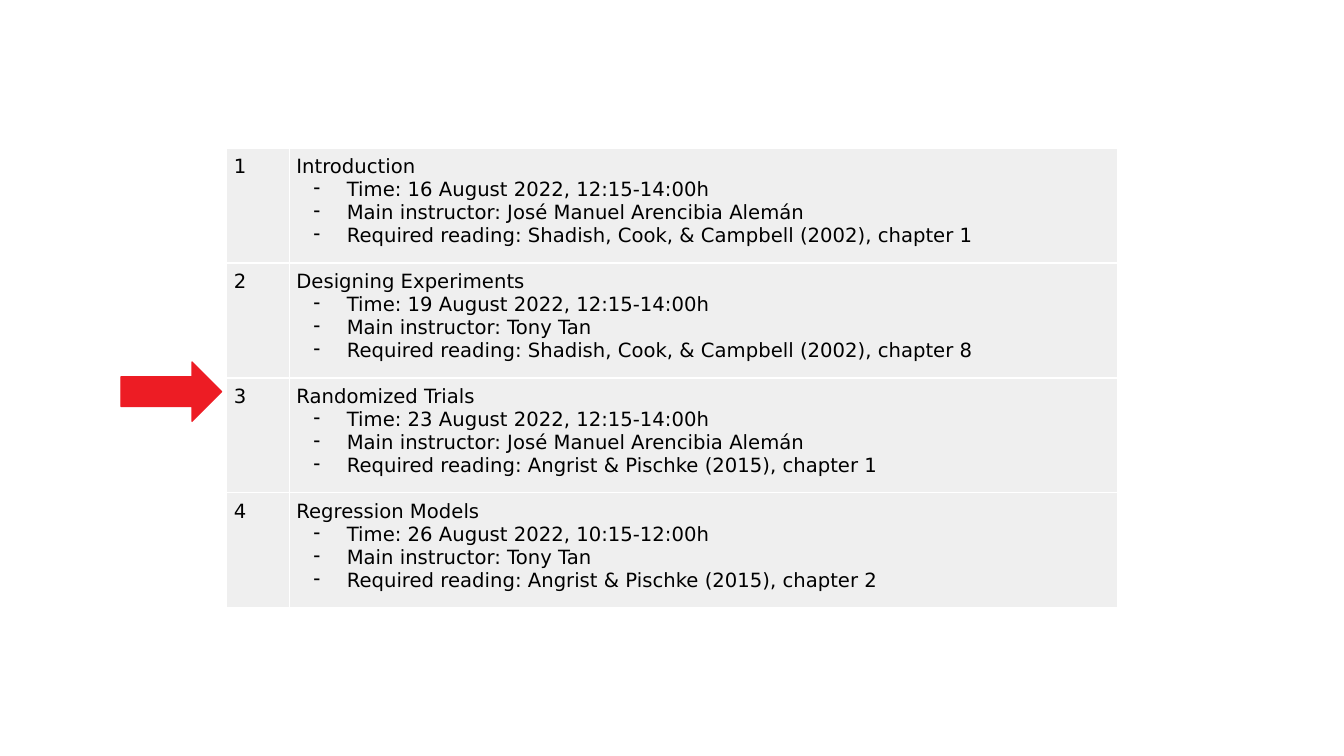
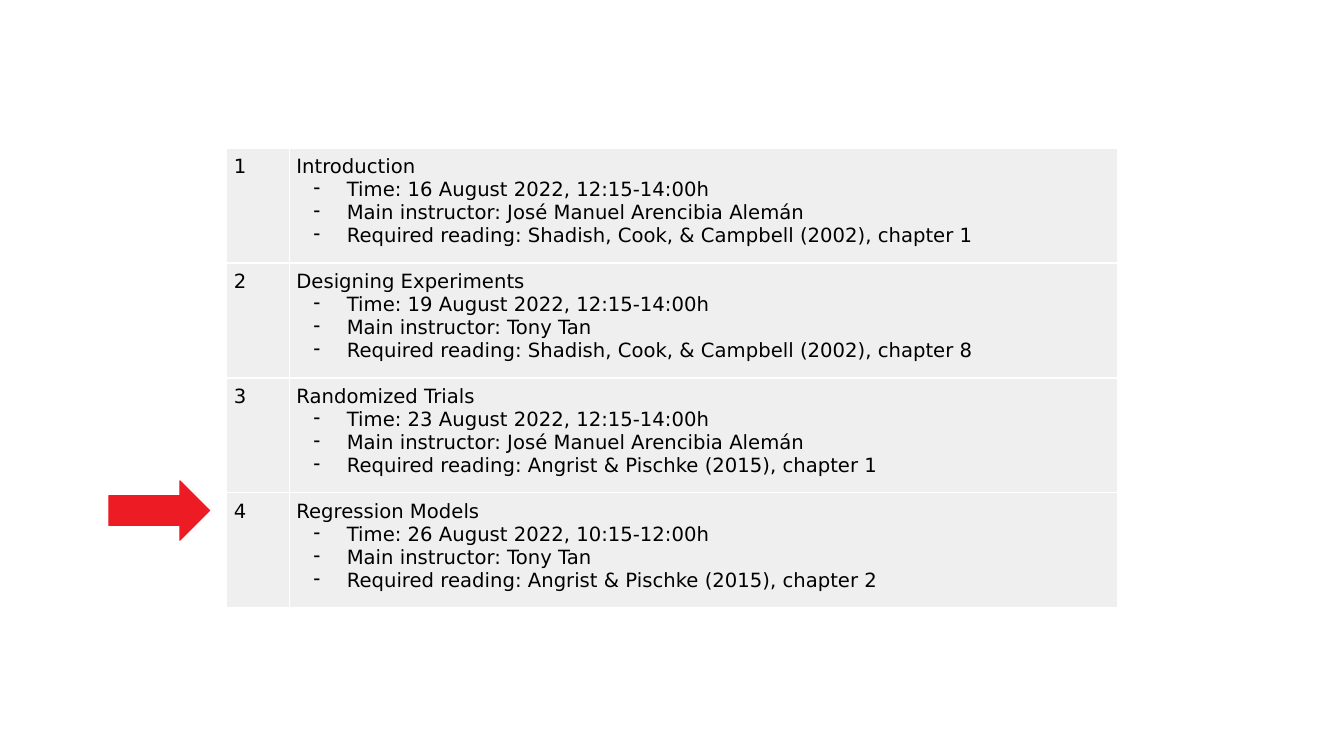
"""Build two course schedule slides with an arrow at the current session."""
from lxml.etree import SubElement
from pptx import Presentation
from pptx.dml.color import RGBColor
from pptx.enum.shapes import MSO_SHAPE
from pptx.oxml.ns import qn
from pptx.util import Inches, Pt

RED = RGBColor(0xED, 0x1C, 0x24)
GRAY = RGBColor(0xEF, 0xEF, 0xEF)
WHITE = RGBColor(0xFF, 0xFF, 0xFF)
BLACK = RGBColor(0, 0, 0)
FONT = "DejaVu Sans"
SIZE = Pt(14)
INSET = Inches(0.07)
COLS = (0.62, 8.22)
ROW = 1.14

JOSE = "José Manuel Arencibia Alemán"
TONY = "Tony Tan"
SHADISH = "Shadish, Cook, & Campbell (2002)"
ANGRIST = "Angrist & Pischke (2015)"
PLAN = (
    ("Introduction", "16 August 2022, 12:15-14:00h", JOSE, f"{SHADISH}, chapter 1"),
    ("Designing Experiments", "19 August 2022, 12:15-14:00h", TONY, f"{SHADISH}, chapter 8"),
    ("Randomized Trials", "23 August 2022, 12:15-14:00h", JOSE, f"{ANGRIST}, chapter 1"),
    ("Regression Models", "26 August 2022, 10:15-12:00h", TONY, f"{ANGRIST}, chapter 2"),
)
ARROWS = ((1.2, 3.59), (1.08, 4.77))


def add_dash(para):
    props = para._p.get_or_add_pPr()
    props.set("marL", str(Inches(0.5)))
    props.set("indent", str(Inches(-0.33)))
    SubElement(props, qn("a:buChar"), char="-")


def add_edges(cell):
    props = cell._tc.get_or_add_tcPr()
    for side in ("a:lnL", "a:lnR", "a:lnT", "a:lnB"):
        edge = SubElement(props, qn(side), w=str(Pt(1)))
        fill = SubElement(edge, qn("a:solidFill"))
        SubElement(fill, qn("a:srgbClr"), val=str(WHITE))


def fill_cell(cell, lines):
    add_edges(cell)
    cell.fill.solid()
    cell.fill.fore_color.rgb = GRAY
    cell.margin_left = cell.margin_right = INSET
    cell.margin_top = cell.margin_bottom = INSET
    cell.text_frame.text = "\n".join(lines)
    for index, para in enumerate(cell.text_frame.paragraphs):
        if index:
            add_dash(para)
        for run in para.runs:
            run.font.name = FONT
            run.font.size = SIZE
            run.font.color.rgb = BLACK


def add_plan(slide):
    frame = slide.shapes.add_table(
        len(PLAN), len(COLS), Inches(2.25), Inches(1.47),
        Inches(sum(COLS)), Inches(ROW * len(PLAN)))
    table = frame.table
    table.first_row = table.horz_banding = False
    for col, width in zip(table.columns, COLS):
        col.width = Inches(width)
    for index, (title, time, tutor, text) in enumerate(PLAN):
        table.rows[index].height = Inches(ROW)
        fill_cell(table.cell(index, 0), [str(index + 1)])
        fill_cell(table.cell(index, 1), [
            title,
            f"Time: {time}",
            f"Main instructor: {tutor}",
            f"Required reading: {text}",
        ])


def add_arrow(slide, left, top):
    arrow = slide.shapes.add_shape(
        MSO_SHAPE.RIGHT_ARROW, Inches(left), Inches(top), Inches(1), Inches(0.59))
    arrow.shadow.inherit = False
    arrow.fill.solid()
    arrow.fill.fore_color.rgb = RED
    arrow.line.color.rgb = RED
    arrow.line.width = Pt(0.75)


def main():
    deck = Presentation()
    deck.slide_width = Inches(13.33)
    deck.slide_height = Inches(7.5)
    for left, top in ARROWS:
        slide = deck.slides.add_slide(deck.slide_layouts[6])
        add_arrow(slide, left, top)
        add_plan(slide)
    deck.save("out.pptx")


if __name__ == "__main__":
    main()
